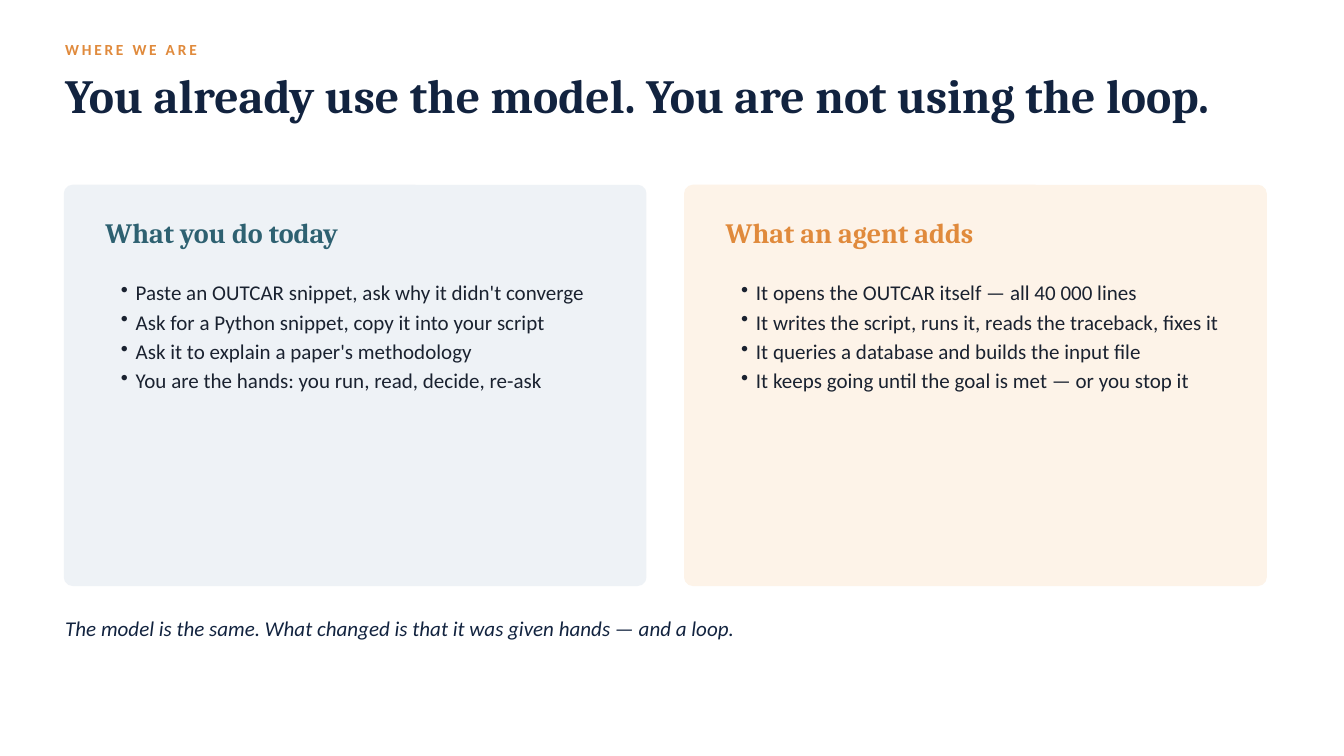
from lxml import etree
from pptx import Presentation
from pptx.dml.color import RGBColor
from pptx.enum.shapes import MSO_SHAPE
from pptx.oxml.ns import qn
from pptx.util import Inches, Pt

ROUND = MSO_SHAPE.ROUNDED_RECTANGLE
HEAD, BODY = "Cambria", "Calibri"
COLORS = {
    "navy": "12233F",
    "orange": "E08A3C",
    "teal": "2E6171",
    "ink": "1A2230",
    "mist": "EEF2F6",
    "cream": "FDF3E8",
}
CARDS = [
    ("What you do today", "teal", "mist", [
        "Paste an OUTCAR snippet, ask why it didn't converge",
        "Ask for a Python snippet, copy it into your script",
        "Ask it to explain a paper's methodology",
        "You are the hands: you run, read, decide, re-ask",
    ]),
    ("What an agent adds", "orange", "cream", [
        "It opens the OUTCAR itself — all 40 000 lines",
        "It writes the script, runs it, reads the traceback, fixes it",
        "It queries a database and builds the input file",
        "It keeps going until the goal is met — or you stop it",
    ]),
]


def color(name):
    return RGBColor.from_string(COLORS[name])


def add_bullet(para):
    para.level = 1
    props = para._p.get_or_add_pPr()
    props.set("marL", str(Inches(0.45)))
    props.set("indent", str(Inches(-0.22)))
    etree.SubElement(props, qn("a:buChar")).set("char", "•")


def add_text(slide, box, lines, font, size, ink, lead,
             bold=False, slant=False, track=0, bullet=False):
    frame = slide.shapes.add_textbox(*map(Inches, box)).text_frame
    frame.word_wrap = True
    frame.margin_left = frame.margin_right = 0
    frame.margin_top = frame.margin_bottom = 0
    for i, line in enumerate(lines):
        para = frame.add_paragraph() if i else frame.paragraphs[0]
        if bullet:
            add_bullet(para)
        para.line_spacing = Pt(lead)
        run = para.add_run()
        run.text = line
        run.font.name = font
        run.font.size = Pt(size)
        run.font.bold = bold
        run.font.italic = slant
        run.font.color.rgb = color(ink)
        if track:
            run.font._element.set("spc", str(track * 100))


def add_header(slide, left, top, width):
    add_text(slide, (left, top, width, 0.45), ["WHERE WE ARE"],
             BODY, 16.5, "orange", 23.8, bold=True, track=3)
    add_text(slide, (left, top + 0.44, width, 1.29),
             ["You already use the model. You are not using the loop."],
             HEAD, 51, "navy", 61.2, bold=True)


def add_card(slide, left, top, width, height, title, accent, fill, points):
    card = slide.shapes.add_shape(
        ROUND, *map(Inches, (left, top, width, height)))
    card.shadow.inherit = False
    card.adjustments[0] = 0.12 / height
    card.fill.solid()
    card.fill.fore_color.rgb = color(fill)
    card.line.color.rgb = color(fill)
    card.line.width = Pt(1.5)
    inner, wide = left + 0.61, width - 1.15
    add_text(slide, (inner, top + 0.44, wide, 0.62), [title],
             HEAD, 30, accent, 36, bold=True)
    add_text(slide, (inner, top + 1.34, wide, 4.45), points,
             BODY, 22.5, "ink", 31.5, bullet=True)


def add_footer(slide, left, top, width):
    add_text(slide, (left, top, width, 0.74),
             ["The model is the same. What changed is that it was given "
              "hands — and a loop."],
             BODY, 22.5, "navy", 27, slant=True)


def main():
    deck = Presentation()
    deck.slide_width, deck.slide_height = Inches(20), Inches(11.25)
    slide = deck.slides.add_slide(deck.slide_layouts[6])
    add_header(slide, 0.97, 0.54, 18)
    width, gap = 8.65, 0.58
    for i, card in enumerate(CARDS):
        add_card(slide, 0.96 + i * (width + gap), 2.76, width, 5.95, *card)
    add_footer(slide, 0.97, 9.16, 18)
    deck.save("out.pptx")


if __name__ == "__main__":
    main()
